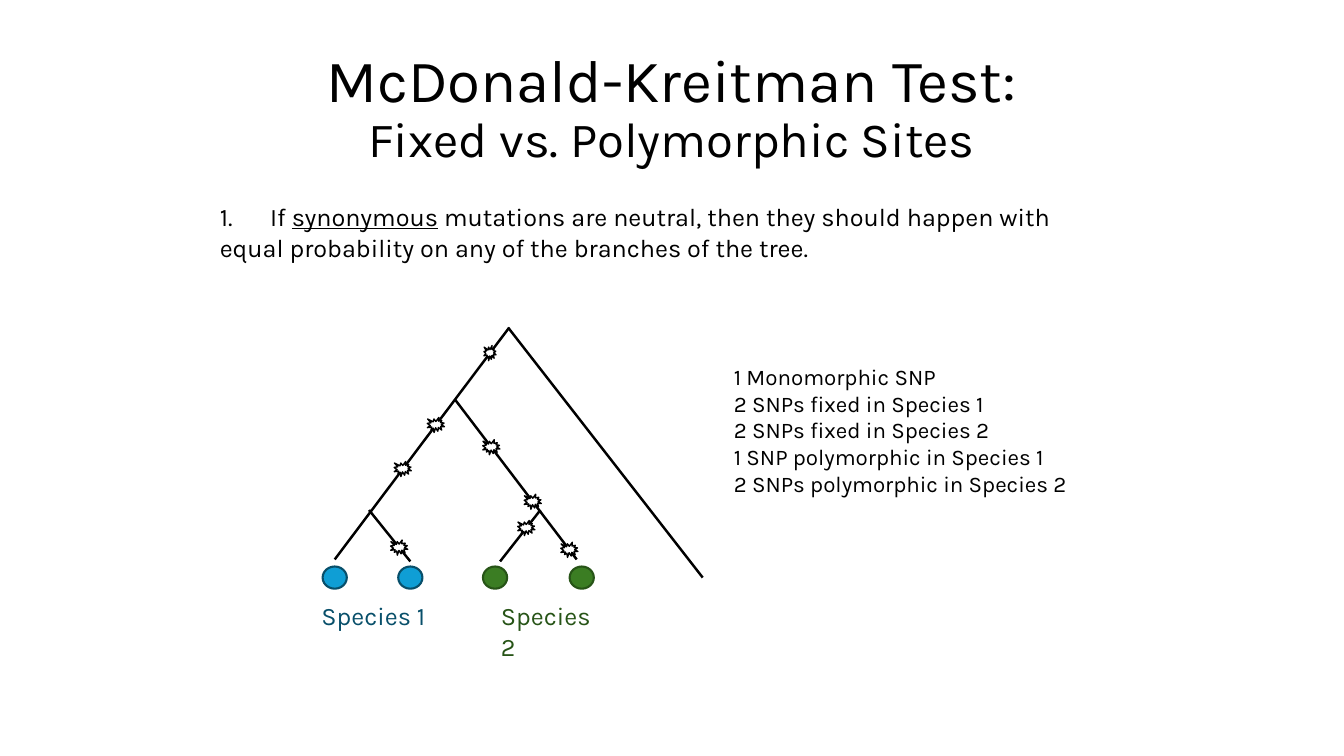
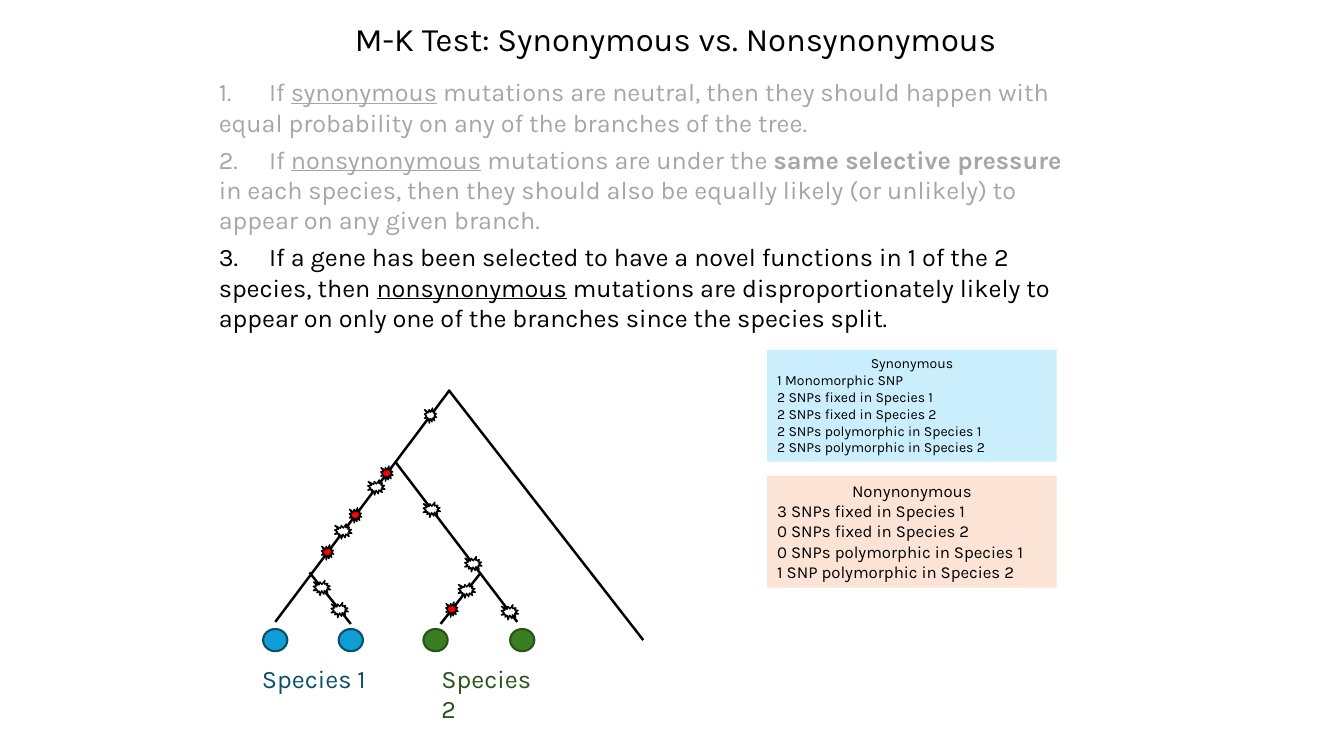
from pptx import Presentation
from pptx.dml.color import RGBColor
from pptx.enum.shapes import MSO_CONNECTOR as Connector, MSO_SHAPE as Shape
from pptx.enum.text import MSO_ANCHOR as Anchor, MSO_AUTO_SIZE as AutoSize, PP_ALIGN as Align
from pptx.oxml import parse_xml
from pptx.oxml.ns import nsdecls
from pptx.util import Inches, Pt

# Shared style
FONT = "Karla"
COLORS = {
    "ink": "000000", "past": "A6A6A6", "white": "FFFFFF", "red": "FF0000",
    "species 1": "0F9ED5", "species 1 dark": "084F6A",
    "species 2": "3B7D23", "species 2 dark": "275417",
    "synonymous": "CAEEFB", "nonsynonymous": "FBE3D6",
}

# The tree, on a grid of columns and rows
COLUMNS, ROWS = 40, 25
TREE_SIZE = (4, 2.5)
BRANCHES = {
    "trunk": ((20.5, 0), (3.2, 23)),
    "outgroup": ((20.4, 0), (39.7, 24.8)),
    "species 2": ((15.1, 7.1), (27.2, 23)),
    "twig 1": ((6.6, 18.1), (10.7, 23.2)),
    "twig 2": ((23.6, 18.1), (19.6, 23.2)),
}
TIP_ROW, LABEL_ROW = 24.8, 26.6
SPECIES = {  # columns of the two tips and of the label
    "Species 1": ((3.2, 10.7), 0.9),
    "Species 2": ((19.1, 27.7), 18.7),
}
TIP_SIZE, LABEL_SIZE = (0.24, 0.22), (1.25, 0.4)
MUTATION_STYLES = {  # width, height, colour
    "ancestral": (0.12, 0.15, "white"),
    "synonymous": (0.17, 0.15, "white"),
    "nonsynonymous": (0.12, 0.15, "red"),
}

# Mutations: kind, branch, shares of the branch's length
NEUTRAL = [
    ("ancestral", "trunk", [0.11]),
    ("synonymous", "trunk", [0.42, 0.61]),
    ("synonymous", "species 2", [0.3, 0.64, 0.94]),
    ("synonymous", "twig 1", [0.73]),
    ("synonymous", "twig 2", [0.35]),
]
SELECTED = NEUTRAL + [
    ("nonsynonymous", "trunk", [0.36, 0.54, 0.7]),
    ("nonsynonymous", "twig 2", [0.72]),
    ("synonymous", "twig 1", [0.3]),
]

# Claims: pieces of text with their emphasis
CLAIMS = [
    [("1.\tIf ", ""), ("synonymous", "underline"),
     (" mutations are neutral, then they should happen with equal probability "
      "on any of the branches of the tree.", "")],
    [("2.\tIf ", ""), ("nonsynonymous", "underline"),
     (" mutations are under the ", ""), ("same selective pressure", "bold"),
     (" in each species, then they should also be equally likely (or unlikely) "
      "to appear on any given branch.", "")],
    [("3.\tIf a gene has been selected to have a novel functions in 1 of the 2 "
      "species, then ", ""), ("nonsynonymous", "underline"),
     (" mutations are disproportionately likely to appear on only one of the "
      "branches since the species split.", "")],
]


def color(name):
    return RGBColor.from_string(COLORS[name])


def inches(*lengths):
    return [Inches(length) for length in lengths]


def move(shape, box):
    shape.left, shape.top, shape.width, shape.height = inches(*box)


def format_run(run, size, ink="ink"):
    run.font.name, run.font.size = FONT, Pt(size)
    run.font.color.rgb = color(ink)


def add_title(slide, box, lines, sizes):
    title = slide.shapes.title
    move(title, box)
    frame = title.text_frame
    frame.text = "\v".join(lines)
    frame.word_wrap, frame.auto_size = True, AutoSize.NONE
    frame.vertical_anchor = Anchor.MIDDLE
    paragraph = frame.paragraphs[0]
    paragraph.alignment, paragraph.line_spacing = Align.CENTER, 0.9
    for run, size in zip(paragraph.runs, sizes):
        format_run(run, size)


def add_claims(slide, box, claims):
    """Numbered claims; all but the last are greyed."""
    body = slide.placeholders[1]
    move(body, box)
    frame = body.text_frame
    frame.word_wrap, frame.auto_size = True, AutoSize.NONE
    for number, claim in enumerate(claims):
        paragraph = frame.add_paragraph() if number else frame.paragraphs[0]
        properties = paragraph._p.get_or_add_pPr()
        properties.set("marL", "0")
        properties.set("indent", "0")
        properties.append(parse_xml(f"<a:buNone {nsdecls('a')}/>"))
        properties.append(parse_xml(
            f'<a:tabLst {nsdecls("a")}><a:tab pos="{Inches(0.28)}" algn="l"/></a:tabLst>'))
        paragraph.space_before = Pt(5 if number else 0)
        for text, emphasis in claim:
            run = paragraph.add_run()
            run.text = text
            format_run(run, 18, "ink" if claim is claims[-1] else "past")
            run.font.underline = emphasis == "underline"
            run.font.bold = emphasis == "bold"


def add_tally(slide, box, lines, size, heading=None, fill=None):
    """SNP counts, on a coloured panel when a fill is given."""
    if fill:
        tally = slide.shapes.add_shape(Shape.RECTANGLE, *inches(*box))
        tally.shadow.inherit = False
        tally.fill.solid()
        tally.fill.fore_color.rgb = color(fill)
        tally.line.fill.background()
    else:
        tally = slide.shapes.add_textbox(*inches(*box))
    frame = tally.text_frame
    frame.word_wrap, frame.vertical_anchor = True, Anchor.TOP
    frame.text = "\n".join(([heading] if heading else []) + lines)
    for paragraph in frame.paragraphs:
        paragraph.alignment = Align.LEFT
        format_run(paragraph.runs[0], size)
    if heading:
        frame.paragraphs[0].alignment = Align.CENTER


def add_mark(parts, kind, center, size, fill, line, line_width):
    (x, y), (width, height) = center, size
    mark = parts.add_shape(kind, *inches(x - width / 2, y - height / 2, width, height))
    mark.shadow.inherit = False
    mark.fill.solid()
    mark.fill.fore_color.rgb = color(fill)
    mark.line.color.rgb = color(line)
    mark.line.width = Pt(line_width)


def add_tree(slide, left, top, mutations):
    parts = slide.shapes.add_group_shape().shapes

    def at(column, row):
        return (left + column * TREE_SIZE[0] / COLUMNS, top + row * TREE_SIZE[1] / ROWS)

    # Branches
    for start, end in BRANCHES.values():
        branch = parts.add_connector(Connector.STRAIGHT, *inches(*at(*start), *at(*end)))
        branch.line.color.rgb = color("ink")
        branch.line.width = Pt(1.75)
        branch._element.spPr.append(parse_xml(f"<a:effectLst {nsdecls('a')}/>"))

    # Tips and species labels
    for species, (tip_columns, label_column) in SPECIES.items():
        hue = species.lower()
        for column in tip_columns:
            add_mark(parts, Shape.OVAL, at(column, TIP_ROW), TIP_SIZE, hue, f"{hue} dark", 1.5)
        label = parts.add_textbox(*inches(*at(label_column, LABEL_ROW), *LABEL_SIZE))
        label.text_frame.word_wrap = True
        label.text_frame.text = species
        format_run(label.text_frame.paragraphs[0].runs[0], 18, f"{hue} dark")

    # Mutations
    for kind, branch_name, shares in mutations:
        width, height, fill = MUTATION_STYLES[kind]
        start, end = BRANCHES[branch_name]
        for share in shares:
            spot = at(*(a + (b - a) * share for a, b in zip(start, end)))
            add_mark(parts, Shape.EXPLOSION1, spot, (width, height), fill, "ink", 1)


def build_fixed_vs_polymorphic(slide):
    add_title(slide, (2.35, 0.4, 8.62, 1.37),
              ["McDonald-Kreitman Test:", "Fixed vs. Polymorphic Sites"], [42.9, 35.1])
    add_claims(slide, (2.08, 1.95, 8.63, 0.71), CLAIMS[:1])
    add_tree(slide, 3, 3.25, NEUTRAL)
    add_tally(slide, (7.18, 3.55, 3.67, 1.45), [
        "1 Monomorphic SNP", "2 SNPs fixed in Species 1", "2 SNPs fixed in Species 2",
        "1 SNP polymorphic in Species 1", "2 SNPs polymorphic in Species 2"], 16)


def build_synonymous_vs_nonsynonymous(slide):
    add_title(slide, (2.39, 0.11, 8.62, 0.59),
              ["M-K Test: Synonymous vs. Nonsynonymous"], [23.4])
    add_claims(slide, (2.07, 0.71, 8.63, 2.63), CLAIMS)
    add_tree(slide, 2.41, 3.87, SELECTED)
    add_tally(slide, (7.61, 3.47, 2.87, 1.11), [
        "1 Monomorphic SNP", "2 SNPs fixed in Species 1", "2 SNPs fixed in Species 2",
        "2 SNPs polymorphic in Species 1", "2 SNPs polymorphic in Species 2"],
        10, "Synonymous", "synonymous")
    add_tally(slide, (7.61, 4.72, 2.87, 1.11), [
        "3 SNPs fixed in Species 1", "0 SNPs fixed in Species 2",
        "0 SNPs polymorphic in Species 1", "1 SNP polymorphic in Species 2"],
        12, "Nonynonymous", "nonsynonymous")


def main():
    deck = Presentation()
    deck.slide_width, deck.slide_height = inches(13.33, 7.5)
    for build in (build_fixed_vs_polymorphic, build_synonymous_vs_nonsynonymous):
        build(deck.slides.add_slide(deck.slide_layouts[1]))
    deck.save("out.pptx")


if __name__ == "__main__":
    main()
